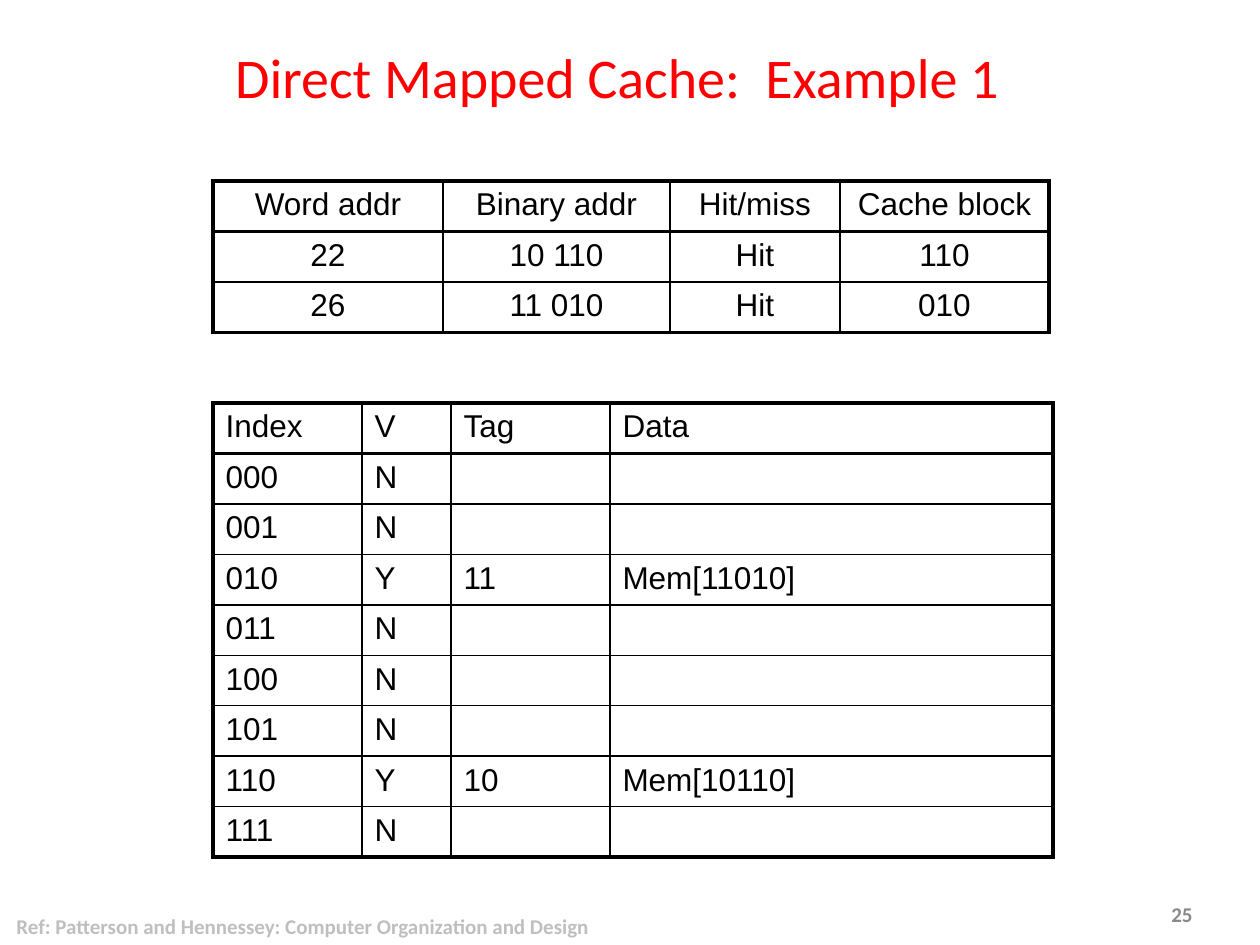
from lxml import etree
from pptx import Presentation
from pptx.dml.color import RGBColor
from pptx.enum.text import MSO_ANCHOR, PP_ALIGN
from pptx.oxml.ns import qn
from pptx.util import Pt

LEFT, CENTER = PP_ALIGN.LEFT, PP_ALIGN.CENTER
MIDDLE = MSO_ANCHOR.MIDDLE

PX = 914400 / 126  # EMU per pixel

THEME = {
    "heading_font": "Calibri", "table_font": "Arial",
    "title_size": 32, "table_size": 18, "footer_size": 12,
    "title": "FF0000", "ink": "000000", "number": "898989", "reference": "BFBFBF",
    "outer_line": 2.25, "header_line": 1.5, "inner_line": 1,
}


def add_text(paragraph, text, font, size, color, bold=False):
    run = paragraph.add_run()
    run.text = text
    run.font.name = THEME[font]
    run.font.size = Pt(THEME[size])
    run.font.color.rgb = RGBColor.from_string(THEME[color])
    run.font.bold = bold


def add_border(cell, side, width):
    line = etree.SubElement(cell._tc.get_or_add_tcPr(), qn("a:" + side), w=str(Pt(width)))
    fill = etree.SubElement(line, qn("a:solidFill"))
    etree.SubElement(fill, qn("a:srgbClr"), val=THEME["ink"])


presentation = Presentation()
presentation.slide_width = round(1260 * PX)
presentation.slide_height = round(945 * PX)
slide = presentation.slides.add_slide(presentation.slide_layouts[6])

# Title, slide number and reference
TEXT_BOXES = [
    ((49, 26, 1137, 100), "Direct Mapped Cache:  Example 1", "title_size", "title", CENTER, False),
    ((1159, 895, 50, 38), "25", "footer_size", "number", LEFT, True),
    ((4, 901, 600, 50), "Ref: Patterson and Hennessey: Computer Organization and Design",
     "footer_size", "reference", LEFT, True),
]
for box, text, size, color, alignment, bold in TEXT_BOXES:
    shape = slide.shapes.add_textbox(*(round(length * PX) for length in box))
    frame = shape.text_frame
    frame.word_wrap = True
    frame.vertical_anchor = MIDDLE
    paragraph = frame.paragraphs[0]
    paragraph.alignment = alignment
    add_text(paragraph, text, "heading_font", size, color, bold)

# Cache contents: every block is invalid unless it has been loaded
loaded_tags = {"010": "11", "110": "10"}
cache_rows = [["Index", "V", "Tag", "Data"]]
for block in range(8):
    index = f"{block:03b}"
    tag = loaded_tags.get(index)
    cache_rows.append([index, "Y", tag, f"Mem[{tag}{index}]"] if tag else [index, "N", "", ""])

access_rows = [
    ["Word addr", "Binary addr", "Hit/miss", "Cache block"],
    ["22", "10 110", "Hit", "110"],
    ["26", "11 010", "Hit", "010"],
]

# Tables: top, height, column widths, rows, alignment, line between body rows
TABLES = [
    (403, 454, [149, 89, 159, 443], cache_rows, LEFT, "inner_line"),
    (181, 151, [230, 227, 170, 209], access_rows, CENTER, "header_line"),
]
for top, height, widths, rows, alignment, row_line in TABLES:
    table = slide.shapes.add_table(
        len(rows), len(widths), round(213 * PX), round(top * PX),
        round(sum(widths) * PX), round(height * PX)).table
    table.first_row = False
    table.horz_banding = False
    for column, width in zip(table.columns, widths):
        column.width = round(width * PX)

    # Line widths from edge to edge, including the outer frame
    row_lines = ["outer_line", "header_line"] + [row_line] * (len(rows) - 2) + ["outer_line"]
    column_lines = ["outer_line"] + ["inner_line"] * (len(widths) - 1) + ["outer_line"]

    for row_number, row in enumerate(rows):
        for column_number, text in enumerate(row):
            cell = table.cell(row_number, column_number)
            add_border(cell, "lnL", THEME[column_lines[column_number]])
            add_border(cell, "lnR", THEME[column_lines[column_number + 1]])
            add_border(cell, "lnT", THEME[row_lines[row_number]])
            add_border(cell, "lnB", THEME[row_lines[row_number + 1]])
            cell.fill.background()
            paragraph = cell.text_frame.paragraphs[0]
            paragraph.alignment = alignment
            paragraph.font.size = Pt(THEME["table_size"])
            if text:
                add_text(paragraph, text, "table_font", "table_size", "ink")

presentation.save("out.pptx")
